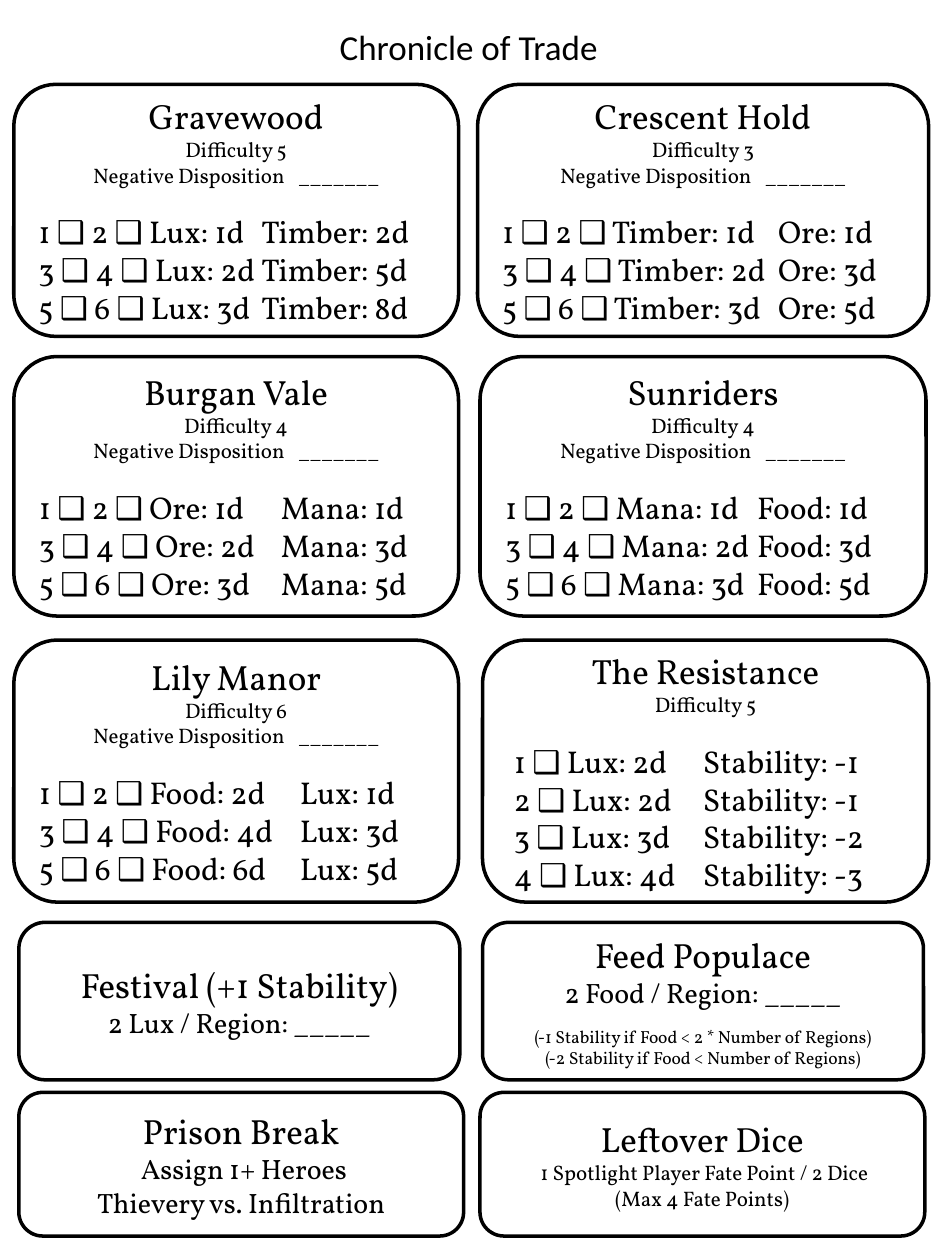
from itertools import groupby

from lxml.etree import SubElement
from pptx import Presentation
from pptx.dml.color import RGBColor
from pptx.enum.shapes import MSO_SHAPE
from pptx.enum.text import MSO_ANCHOR, MSO_AUTO_SIZE, PP_ALIGN
from pptx.oxml.ns import qn
from pptx.util import Inches, Pt

COLORS = {"ink": "000000", "paper": "FFFFFF"}
BOX = "❑"
INK = RGBColor.from_string(COLORS["ink"])
PAPER = RGBColor.from_string(COLORS["paper"])


def add_line(frame, text, size, face="Vollkorn", align=PP_ALIGN.CENTER, gap=0):
    """Add a paragraph; tick boxes are set in Arial, gap is the space before."""
    para = frame.paragraphs[0]
    if para.runs:
        para = frame.add_paragraph()
    para.alignment = align
    if gap:
        para.space_before = Pt(gap)
    for is_box, chars in groupby(text, lambda char: char == BOX):
        run = para.add_run()
        run.text = "".join(chars)
        form = {"size": Pt(size), "name": "Arial" if is_box else face}
        for key, value in form.items():
            setattr(run.font, key, value)
        run.font.color.rgb = INK
    return para


def add_card(left, top, width, height, name):
    card = slide.shapes.add_shape(
        MSO_SHAPE.ROUNDED_RECTANGLE,
        Inches(left), Inches(top), Inches(width), Inches(height))
    card.shadow.inherit = False
    card.fill.solid()
    card.fill.fore_color.rgb = PAPER
    card.line.color.rgb = INK
    card.line.width = Pt(2)
    frame = card.text_frame
    form = {"word_wrap": True, "vertical_anchor": MSO_ANCHOR.MIDDLE}
    for key, value in form.items():
        setattr(frame, key, value)
    add_line(frame, name, 20)
    return frame


deck = Presentation()
deck.slide_width, deck.slide_height = Inches(7.5), Inches(10)
slide = deck.slides.add_slide(deck.slide_layouts[6])

# Title
title = slide.shapes.add_textbox(
    Inches(0.11), Inches(0.15), Inches(7.22), Inches(0.44)).text_frame
form = {"word_wrap": True, "auto_size": MSO_AUTO_SIZE.SHAPE_TO_FIT_TEXT}
for key, value in form.items():
    setattr(title, key, value)
add_line(title, "Chronicle of Trade", 20, "Calibri")

# Region cards: place, name, difficulty, tab stop, goods of each row
PAIRS = [f"{n} {BOX} {n + 1} {BOX} " for n in (1, 3, 5)]
STEPS = [f" {n} {BOX} " for n in (1, 2, 3, 4)]
regions = [
    ((0.11, 0.67, 3.53, 2), "Gravewood", 5, 1.77,
     ["Lux: 1d\tTimber: 2d", "Lux: 2d\tTimber: 5d", "Lux: 3d\tTimber: 8d"]),
    ((3.79, 0.67, 3.58, 2), "Crescent Hold", 3, 2.19,
     ["Timber: 1d\tOre: 1d", "Timber: 2d\tOre: 3d", "Timber: 3d\tOre: 5d"]),
    ((0.11, 2.83, 3.53, 2.06), "Burgan Vale", 4, 1.92,
     ["Ore: 1d\tMana: 1d", "Ore: 2d\tMana: 3d", "Ore: 3d\tMana: 5d"]),
    ((3.81, 2.83, 3.54, 2.06), "Sunriders", 4, 2,
     ["Mana: 1d\tFood: 1d", "Mana: 2d\tFood: 3d", "Mana: 3d\tFood: 5d"]),
    ((0.11, 5.08, 3.53, 2.08), "Lily Manor", 6, 2.07,
     ["Food: 2d\tLux: 1d", "Food: 4d\tLux: 3d", "Food: 6d\tLux: 5d"]),
    ((3.83, 5.08, 3.54, 2.08), "The Resistance", 5, 1.55,
     ["Lux: 2d\tStability: -1", "Lux: 2d\tStability: -1",
      "Lux: 3d\tStability: -2", "Lux: 4d\tStability: -3"]),
]
for place, name, level, stop, goods in regions:
    frame = add_card(*place, name)
    add_line(frame, f"Difficulty {level}", 12)
    marks = STEPS
    if len(goods) == len(PAIRS):
        marks = PAIRS
        para = add_line(frame, "Negative Disposition", 12)
        for text, wide in ((" ", "530"), ("_______", "0")):
            run = para.add_run()
            run.text = text
            run.font.size, run.font.name = Pt(12), "Vollkorn"
            run.font.color.rgb = INK
            run.font._element.set("spc", wide)
    for row, (mark, good) in enumerate(zip(marks, goods)):
        para = add_line(frame, mark + good, 18, align=PP_ALIGN.LEFT,
                        gap=0 if row else 14.4)
        tabs = SubElement(para._p.get_or_add_pPr(), qn("a:tabLst"))
        SubElement(tabs, qn("a:tab"), pos=str(Inches(stop)), algn="l")

# Action cards: place, name, lines as (text, size, gap before)
actions = [
    ((0.15, 7.32, 3.5, 1.25), "Festival (+1 Stability)",
     [("2 Lux / Region: _____", 16, 0)]),
    ((3.83, 7.32, 3.5, 1.25), "Feed Populace",
     [("2 Food / Region: _____", 16, 0),
      ("(-1 Stability if Food < 2 * Number of Regions)", 10, 9.6),
      ("(-2 Stability if Food < Number of Regions)", 10, 0)]),
    ((0.15, 8.67, 3.53, 1.14), "Prison Break",
     [(" Assign 1+ Heroes", 16, 0), ("Thievery vs. Infiltration", 16, 0)]),
    ((3.81, 8.67, 3.53, 1.14), "Leftover Dice",
     [(" 1 Spotlight Player Fate Point / 2 Dice", 12, 0),
      ("(Max 4 Fate Points)", 12, 0)]),
]
for place, name, lines in actions:
    frame = add_card(*place, name)
    for text, size, gap in lines:
        add_line(frame, text, size, gap=gap)

deck.save("out.pptx")
